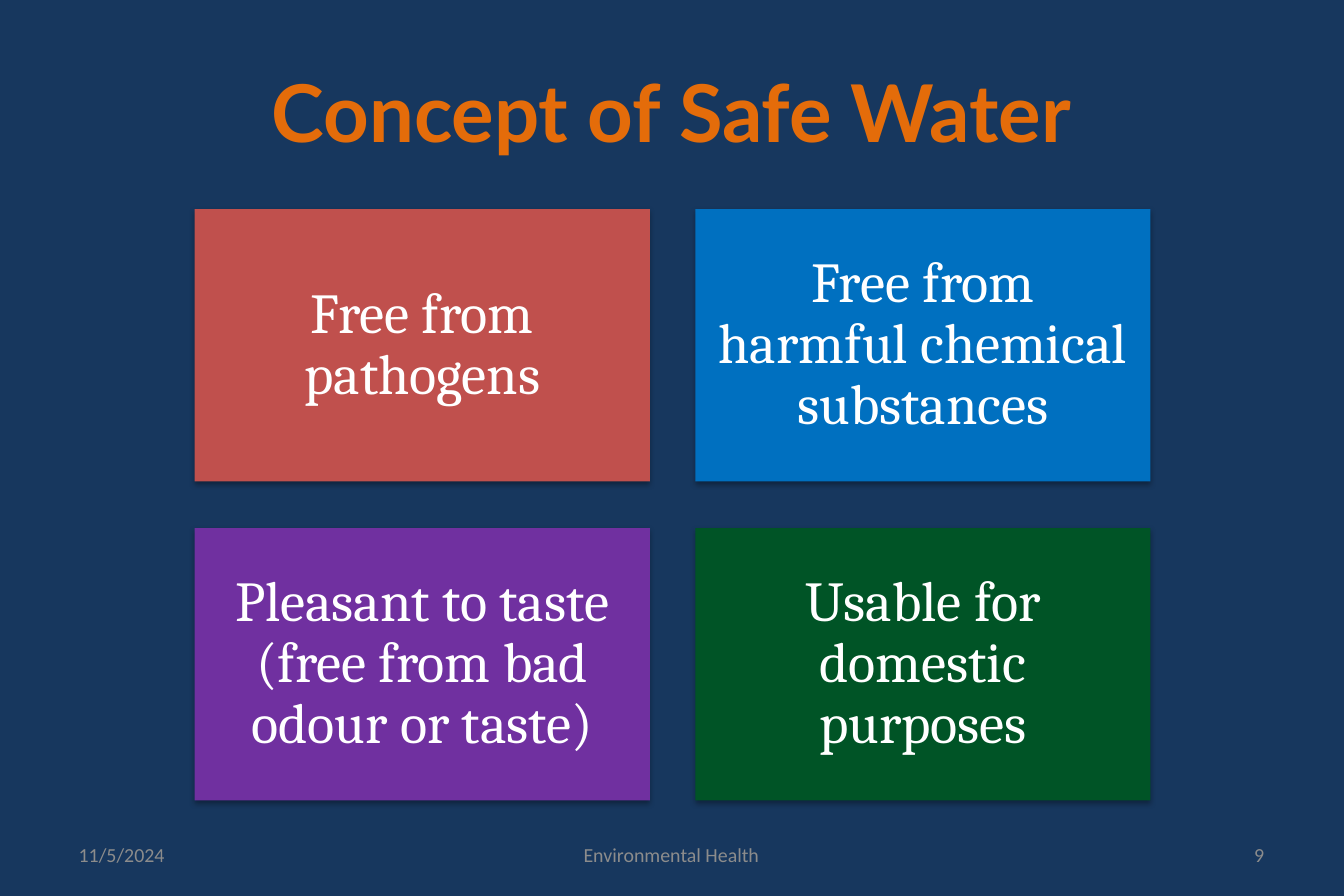
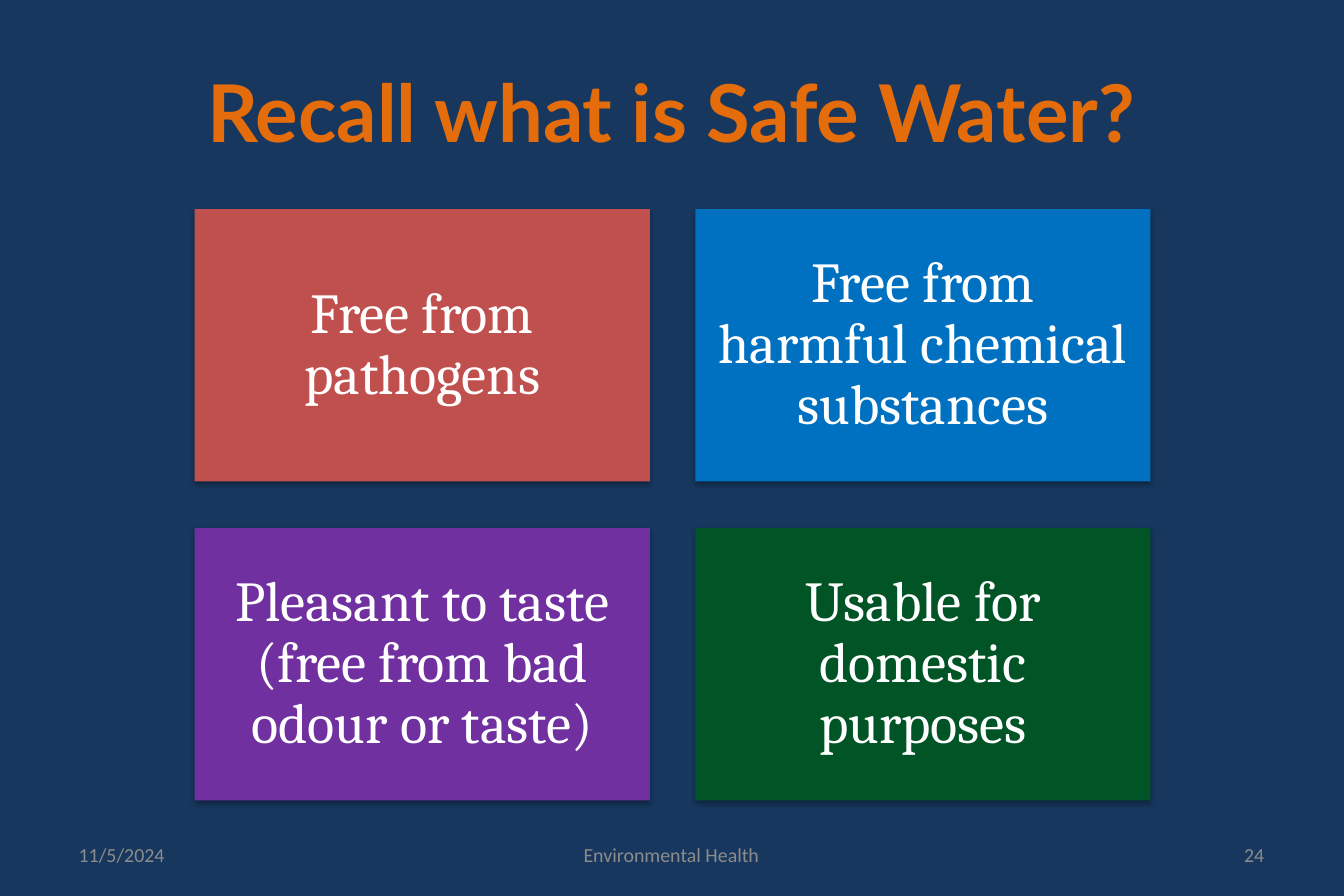
from lxml import etree
from pptx import Presentation
from pptx.dml.color import RGBColor
from pptx.enum import shapes, text
from pptx.oxml import ns
from pptx.util import Inches, Pt

NAVY, ORANGE, GREY, WHITE = "17375E", "E46C0A", "8C8C8C", "FFFFFF"
LEFT, CENTER, RIGHT = text.PP_ALIGN.LEFT, text.PP_ALIGN.CENTER, text.PP_ALIGN.RIGHT

TITLE_BOX = (0.56, 0.3, 10.12, 1.25)
GRID_BOX = (1.63, 1.75, 8, 4.95)
FOOTER_BOX = (0.56, 6.95, 10.12, 0.4)

QUALITIES = [
    ("Free from pathogens", "C0504D"),
    ("Free from harmful chemical substances", "0070C0"),
    ("Pleasant to taste (free from bad odour or taste)", "7030A0"),
    ("Usable for domestic purposes", "005426"),
]


def paint(fmt, color):
    """Fill a shape, font or background with a solid colour."""
    fmt.fill.solid()
    fmt.fill.fore_color.rgb = RGBColor.from_string(color)


def write(sp, words, size, font, color, bold=False, align=CENTER, inset=None, spacing=None):
    tf = sp.text_frame
    tf.word_wrap = True
    tf.vertical_anchor = text.MSO_ANCHOR.MIDDLE
    if inset is not None:
        tf.margin_left = tf.margin_right = tf.margin_top = tf.margin_bottom = Inches(inset)
    p = tf.paragraphs[0]
    p.alignment = align
    if spacing:
        p.line_spacing = spacing
    r = p.add_run()
    r.text = words
    r.font.size, r.font.name, r.font.bold = Pt(size), font, bold
    paint(r.font, color)


def add_text(s, box, words, **style):
    write(s.shapes.add_textbox(*map(Inches, box)), words, **style)


def add_shadow(sp):
    """Soft shadow falling straight down."""
    sp.shadow.inherit = False
    effects = sp._element.spPr.find(ns.qn("a:effectLst"))
    shadow = etree.SubElement(effects, ns.qn("a:outerShdw"), blurRad=str(Pt(3.1)),
                              dist=str(Pt(1.8)), dir="5400000", rotWithShape="0")
    color = etree.SubElement(shadow, ns.qn("a:srgbClr"), val="000000")
    etree.SubElement(color, ns.qn("a:alpha"), val="35000")


def add_grid(s, box, cards, cols=2, gap_x=0.38, gap_y=0.39):
    left, top, width, height = box
    rows = -(-len(cards) // cols)
    w = (width - gap_x * (cols - 1)) / cols
    h = (height - gap_y * (rows - 1)) / rows
    for i, (words, color) in enumerate(cards):
        row, col = divmod(i, cols)
        card = (left + col * (w + gap_x), top + row * (h + gap_y), w, h)
        sp = s.shapes.add_shape(shapes.MSO_SHAPE.RECTANGLE, *map(Inches, card))
        paint(sp, color)
        sp.line.fill.background()
        add_shadow(sp)
        write(sp, words, 34, "Cambria", WHITE, inset=0.14, spacing=0.9)


def add_footer(s, box, number):
    left, top, width, height = box
    side, middle = 2.62, 3.56
    parts = [
        ("11/5/2024", left, side, LEFT),
        ("Environmental Health", left + (width - middle) / 2, middle, CENTER),
        (str(number), left + width - side, side, RIGHT),
    ]
    for words, x, w, align in parts:
        add_text(s, (x, top, w, height), words, size=12, font="Calibri", color=GREY, align=align)


def add_card_slide(prs, title, number):
    s = prs.slides.add_slide(prs.slide_layouts[6])
    paint(s.background, NAVY)
    add_text(s, TITLE_BOX, title, size=48, font="Lato", color=ORANGE, bold=True)
    add_grid(s, GRID_BOX, QUALITIES)
    add_footer(s, FOOTER_BOX, number)


def main():
    prs = Presentation()
    prs.slide_width, prs.slide_height = Inches(11.25), Inches(7.5)
    add_card_slide(prs, "Concept of Safe Water", 9)
    add_card_slide(prs, "Recall what is Safe Water?", 24)
    prs.save("out.pptx")


if __name__ == "__main__":
    main()
